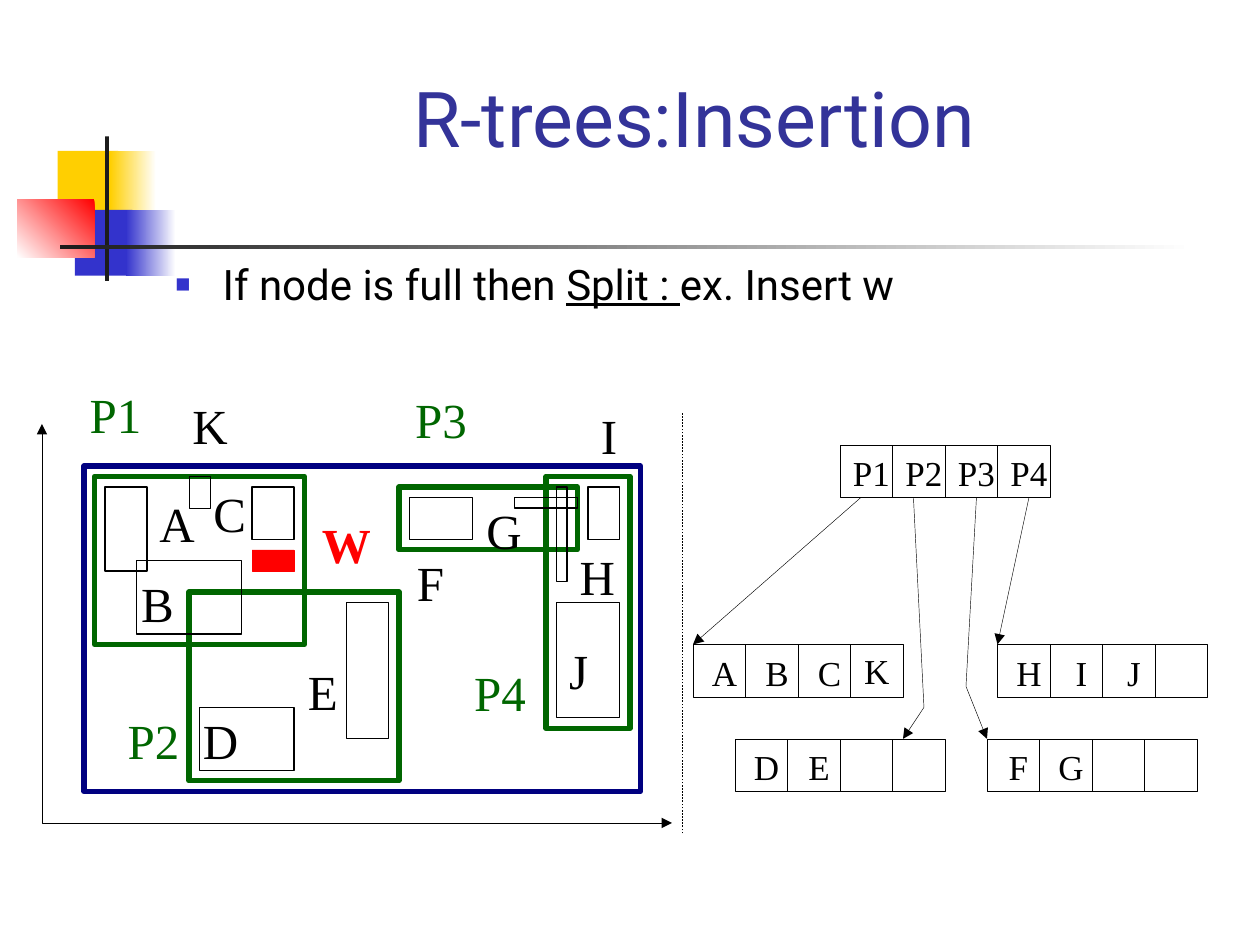
"""Build the slide on R-tree insertion: bounding boxes in the plane and the matching tree."""
from lxml import etree
from pptx import Presentation
from pptx.dml.color import RGBColor
from pptx.enum.dml import MSO_LINE
from pptx.enum.shapes import MSO_CONNECTOR, MSO_SHAPE
from pptx.enum.text import MSO_ANCHOR, MSO_AUTO_SIZE, PP_ALIGN
from pptx.oxml.ns import qn
from pptx.util import Pt

PX = 9525
RECT, STRAIGHT, DASH = MSO_SHAPE.RECTANGLE, MSO_CONNECTOR.STRAIGHT, MSO_LINE.DASH
CENTER, LEFT = PP_ALIGN.CENTER, PP_ALIGN.LEFT
MIDDLE, TOP, BOTTOM = MSO_ANCHOR.MIDDLE, MSO_ANCHOR.TOP, MSO_ANCHOR.BOTTOM
FIT_TEXT = MSO_AUTO_SIZE.SHAPE_TO_FIT_TEXT

BLACK = RGBColor(0, 0, 0)
WHITE = RGBColor(255, 255, 255)
CHARCOAL = RGBColor(0x1C, 0x1C, 0x1C)
YELLOW = RGBColor(0xFF, 0xCF, 0x01)
BLUE = RGBColor(0x33, 0x33, 0xCC)
INDIGO = RGBColor(0x33, 0x33, 0x99)
NAVY = RGBColor(0, 0, 0x80)
GREEN = RGBColor(0, 0x66, 0)
RED = RGBColor(255, 0, 0)

TITLE = "R-trees:Insertion"
BULLET = [("If node is full then ", False), ("Split : ", True), ("ex. Insert w", False)]

DECOR = [
    ((44, 115, 46, 50), [YELLOW], 0),
    ((84, 115, 35, 50), [WHITE, YELLOW], 180),
    ((57, 160, 44, 50), [BLUE], 0),
    ((96, 160, 38, 50), [WHITE, BLUE], 180),
    ((13, 152, 59, 44), [RED, WHITE], 225),
    ((80, 104, 3, 110), [CHARCOAL], 0),
    ((46, 187, 864, 3), [WHITE, CHARCOAL], 180),
]
NODE_BOXES = [(72, 363, 160, 128), (416, 363, 64, 192), (144, 451, 160, 144), (304, 371, 136, 48)]
ENTRY_BOXES = [
    (80, 371, 32, 64), (192, 371, 32, 40), (104, 427, 80, 56), (152, 539, 72, 48),
    (264, 459, 32, 104), (312, 379, 48, 32), (424, 459, 48, 88), (448, 371, 24, 40),
    (392, 379, 48, 8), (424, 371, 8, 72),
]
ROOT_BOX = (64, 355, 424, 248)
W_BOX = (192, 419, 32, 16)
K_BOX = (144, 363, 16, 24)

ENTRY_LABELS = [
    ("A", 135, 371), ("B", 120, 432), ("C", 175, 363), ("D", 168, 536), ("E", 246, 499),
    ("F", 328, 416), ("G", 384, 376), ("H", 455, 411), ("I", 464, 304), ("J", 441, 483),
    ("K", 160, 296),
]
NODE_LABELS = [("P1", 88, 288), ("P2", 117, 536), ("P3", 336, 292), ("P4", 381, 500)]
EM_WIDTHS = {"A": 0.72, "B": 0.67, "C": 0.67, "D": 0.72, "E": 0.61, "F": 0.56, "G": 0.72,
             "H": 0.72, "I": 0.33, "J": 0.39, "K": 0.72, "P": 0.56, "W": 1}
DIGIT_WIDTH = 0.5

CELL, CELLS, LABEL_SHIFT = 40, 4, 4
TREE = [
    (640, 339, ["P1", "P2", "P3", "P4"]),
    (752, 563, ["F", "G"]),
    (560, 563, ["D", "E"]),
    (760, 491, ["H", "I", "J"]),
    (528, 491, ["A", "B", "C"]),
]
K_IN_TREE = ("K", 668, 490)

AXES = [(32, 323), (32, 627), (512, 627)]
DIVIDER = [(520, 635), (520, 315)]
STRAIGHT_POINTERS = [[(656, 379), (528, 491)], [(784, 379), (760, 491)]]
BENT_POINTERS = [[(696, 379), (704, 539), (688, 563)], [(744, 379), (736, 523), (752, 563)]]


def emu(*lengths):
    return [round(n * PX) for n in lengths]


def add_rect(shapes, box, line=None, width=0.75, fill=None):
    sp = shapes.add_shape(RECT, *emu(*box))
    sp.shadow.inherit = False
    if fill is None:
        sp.fill.background()
    else:
        sp.fill.solid()
        sp.fill.fore_color.rgb = fill
    if line is None:
        sp.line.fill.background()
    else:
        sp.line.color.rgb = line
        sp.line.width = Pt(width)
    return sp


def style_font(font, name, size, color, bold=False):
    font.name, font.size, font.bold = name, Pt(size), bold
    font.color.rgb = color


def add_label(shapes, text, center, top, size=28, color=BLACK, bold=False):
    ems = sum(EM_WIDTHS.get(c, DIGIT_WIDTH) for c in text)
    width = 19 + ems * size * 96 / 72
    height = 55 if size == 28 else 42
    tf = shapes.add_textbox(*emu(center - width / 2, top, width, height)).text_frame
    tf.word_wrap = False
    tf.auto_size = FIT_TEXT
    tf.vertical_anchor = MIDDLE
    tf.text = text
    p = tf.paragraphs[0]
    p.alignment = CENTER
    style_font(p.runs[0].font, "Times New Roman", size, color, bold)


def finish_line(sp, ends=()):
    sp.line.color.rgb = BLACK
    sp.line.width = Pt(0.25)
    for end in ends:
        etree.SubElement(sp.line._get_or_add_ln(), qn(f"a:{end}"), type="triangle")


def add_straight(shapes, points, ends=()):
    start, stop = points
    sp = shapes.add_connector(STRAIGHT, *emu(*start, *stop))
    finish_line(sp, ends)
    etree.SubElement(sp._element.spPr, qn("a:effectLst"))
    return sp


def add_bent(shapes, points, ends):
    builder = shapes.build_freeform(*points[0], scale=PX)
    builder.add_line_segments(points[1:], close=False)
    sp = builder.convert_to_shape()
    sp.shadow.inherit = False
    sp.fill.background()
    finish_line(sp, ends)


def place(sp, box, anchor):
    sp.left, sp.top, sp.width, sp.height = emu(*box)
    sp.text_frame.vertical_anchor = anchor
    return sp.text_frame.paragraphs[0]


def add_title_and_body(s):
    p = place(s.shapes.title, (120, 40, 818, 89), BOTTOM)
    p.text = TITLE
    p.alignment = CENTER
    style_font(p.runs[0].font, "Roboto", 44, INDIGO)

    p = place(s.placeholders[1], (124, 192, 816, 452), TOP)
    p.alignment = LEFT
    p.space_before = Pt(0)
    pPr = p._p.get_or_add_pPr()
    pPr.set("marL", str(36 * PX))
    pPr.set("indent", str(-36 * PX))
    color = etree.SubElement(pPr, qn("a:buClr"))
    etree.SubElement(color, qn("a:srgbClr"), val=str(BLUE))
    etree.SubElement(pPr, qn("a:buSzPct"), val="60000")
    etree.SubElement(pPr, qn("a:buChar"), char="■")
    for text, underline in BULLET:
        r = p.add_run()
        r.text = text
        style_font(r.font, "Roboto", 24, BLACK)
        r.font.underline = underline


def add_decor(shapes):
    for box, colors, angle in DECOR:
        sp = add_rect(shapes, box, fill=colors[0])
        if len(colors) > 1:
            sp.fill.gradient()
            sp.fill.gradient_angle = angle
            for stop, color in zip(sp.fill.gradient_stops, colors):
                stop.color.rgb = color


def add_plane(shapes):
    for box in NODE_BOXES:
        add_rect(shapes, box, GREEN, 3)
    for box in ENTRY_BOXES:
        add_rect(shapes, box, BLACK)
    add_rect(shapes, ROOT_BOX, NAVY, 3)
    add_bent(shapes, AXES, ("headEnd", "tailEnd"))
    for label in ENTRY_LABELS:
        add_label(shapes, *label)
    for label in NODE_LABELS:
        add_label(shapes, *label, color=GREEN)
    add_label(shapes, "W", 264, 387, color=RED, bold=True)
    add_rect(shapes, W_BOX, RED, 0.25, RED)
    add_rect(shapes, K_BOX, BLACK, 0.25)


def add_tree(shapes):
    for left, top, labels in TREE:
        node = shapes.add_group_shape().shapes
        for i in range(CELLS):
            add_rect(node, (left + i * CELL, top, CELL, CELL), BLACK, 0.25)
        for i, text in enumerate(labels):
            add_label(node, text, left + (i + 0.5) * CELL + LABEL_SHIFT, top, 20)
    add_label(shapes, *K_IN_TREE, size=20)
    add_straight(shapes, DIVIDER).line.dash_style = DASH
    for points in STRAIGHT_POINTERS:
        add_straight(shapes, points, ["tailEnd"])
    for points in BENT_POINTERS:
        add_bent(shapes, points, ["tailEnd"])


def main():
    prs = Presentation()
    prs.slide_width, prs.slide_height = emu(960, 720)
    s = prs.slides.add_slide(prs.slide_layouts[1])
    add_title_and_body(s)
    add_decor(s.shapes)
    add_plane(s.shapes)
    add_tree(s.shapes)
    prs.save("out.pptx")


if __name__ == "__main__":
    main()
